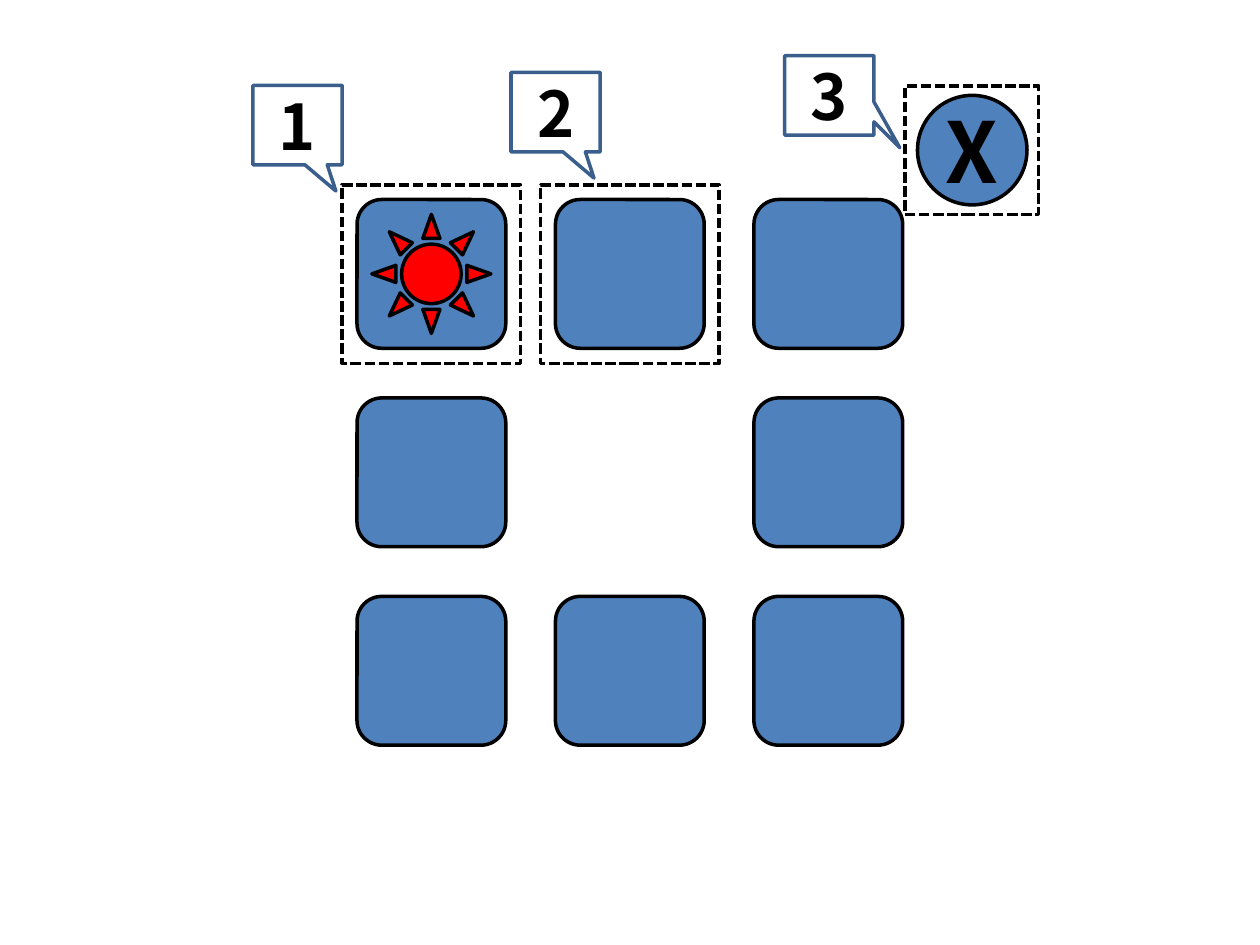
import pptx
import pptx.dml.color
import pptx.enum.dml
import pptx.enum.shapes
import pptx.enum.text
import pptx.util

Pt = pptx.util.Pt
RGBColor = pptx.dml.color.RGBColor
SHAPES = pptx.enum.shapes.MSO_SHAPE

BLUE = RGBColor(0x4F, 0x81, 0xBD)
DARK_BLUE = RGBColor(0x3A, 0x5F, 0x8C)
RED = RGBColor(0xFF, 0x00, 0x00)
BLACK = RGBColor(0x00, 0x00, 0x00)
FONT = "Noto Sans CJK KR"

presentation = pptx.Presentation()
presentation.slide_width = Pt(720)
presentation.slide_height = Pt(540)
slide = presentation.slides.add_slide(presentation.slide_layouts[6])


def add_shape(kind, left, top, width, height, text="", *, fill=None,
              line=BLACK, dashed=False, size=36):
    """Add a 2 pt outlined shape, unfilled by default, with bold centred text."""
    shape = slide.shapes.add_shape(kind, Pt(left), Pt(top), Pt(width), Pt(height))
    shape.shadow.inherit = False
    if fill is None:
        shape.fill.background()
    else:
        shape.fill.solid()
        shape.fill.fore_color.rgb = fill
    shape.line.color.rgb = line
    shape.line.width = Pt(2)
    if dashed:
        shape.line.dash_style = pptx.enum.dml.MSO_LINE.SQUARE_DOT
    if text:
        shape.text_frame.vertical_anchor = pptx.enum.text.MSO_ANCHOR.MIDDLE
        paragraph = shape.text_frame.paragraphs[0]
        paragraph.alignment = pptx.enum.text.PP_ALIGN.CENTER
        run = paragraph.add_run()
        run.text = text
        run.font.name = FONT
        run.font.size = Pt(size)
        run.font.bold = True
        run.font.color.rgb = BLACK
    return shape


# Ring of eight tiles on a three by three grid
grid_left, grid_top, tile, pitch = 204, 114, 85, 113.4
for row in range(3):
    for column in range(3):
        if (row, column) != (1, 1):
            add_shape(SHAPES.ROUNDED_RECTANGLE, grid_left + column * pitch,
                      grid_top + row * pitch, tile, tile, fill=BLUE)

# Close button and the sun in the first tile
add_shape(SHAPES.OVAL, 524.3, 54.5, 62.6, 62.6, "X", fill=BLUE, size=48)
sun = 68
sun_inset = (tile - sun) / 2
add_shape(SHAPES.SUN, grid_left + sun_inset, grid_top + sun_inset, sun, sun, fill=RED)

# Dashed frames around the button and the first two tiles
add_shape(SHAPES.RECTANGLE, 517, 49, 76.5, 73.5, dashed=True)
for column in range(2):
    add_shape(SHAPES.RECTANGLE, 195.6 + column * pitch, 105.7, 102, 102, dashed=True)

# Numbered callouts: left, top, pointer tip relative to the centre
callouts = [
    (144.5, 48.8, (0.43, 0.83)),
    (292, 41.4, (0.43, 0.83)),
    (448.4, 31.8, (0.79, 0.66)),
]
for number, (left, top, tip) in enumerate(callouts, start=1):
    callout = add_shape(SHAPES.RECTANGULAR_CALLOUT, left, top, 51, 45.4,
                        str(number), line=DARK_BLUE)
    callout.adjustments[0], callout.adjustments[1] = tip

presentation.save("out.pptx")
